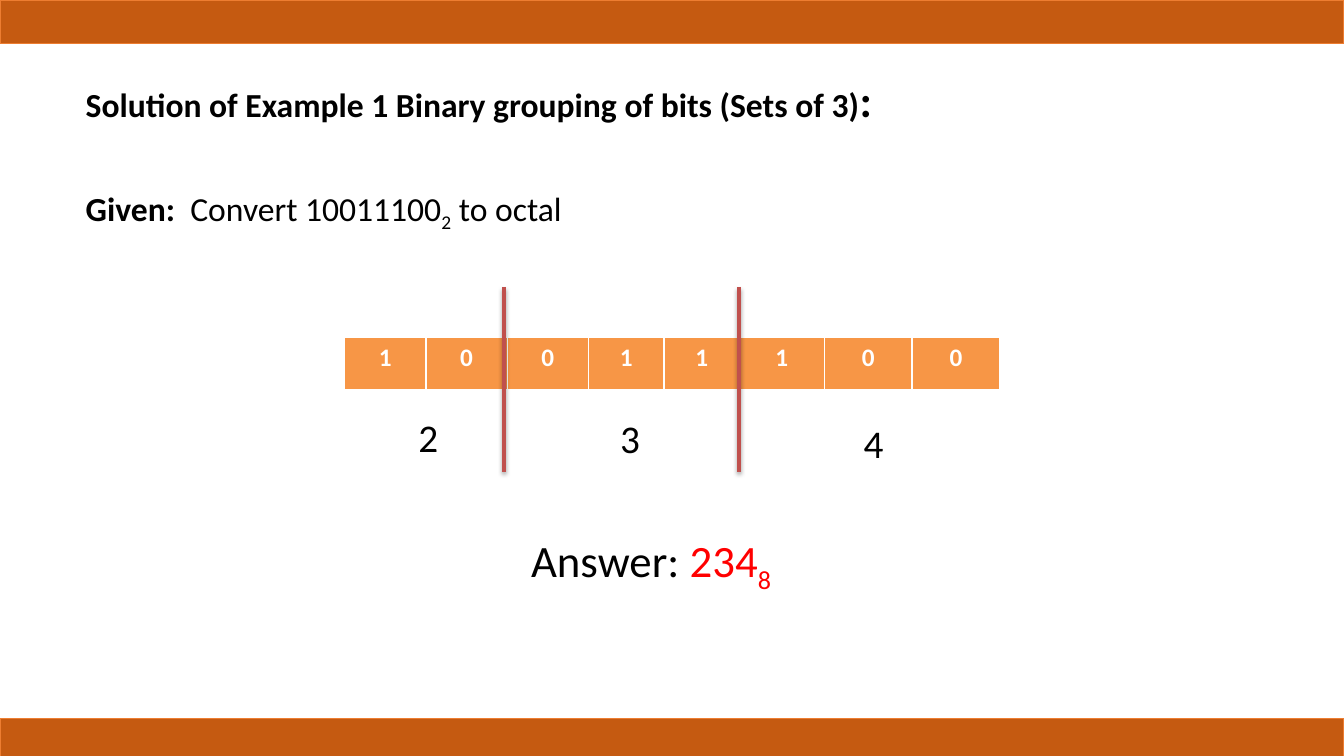
"""Builds the slide on converting a binary number to octal in sets of three bits."""
from lxml import etree
from pptx import Presentation
from pptx.dml.color import RGBColor
from pptx.enum.shapes import MSO_CONNECTOR, MSO_SHAPE
from pptx.enum.text import MSO_ANCHOR, MSO_AUTO_SIZE, PP_ALIGN
from pptx.oxml import parse_xml
from pptx.oxml.ns import nsdecls, qn
from pptx.util import Pt

STRAIGHT = MSO_CONNECTOR.STRAIGHT
RECTANGLE = MSO_SHAPE.RECTANGLE
TOP = MSO_ANCHOR.TOP
NO_AUTOFIT = MSO_AUTO_SIZE.NONE
LEFT, CENTER = PP_ALIGN.LEFT, PP_ALIGN.CENTER

FONT = "Calibri"
COLORS = {
    "text": "000000", "answer": "FF0000", "bit": "FFFFFF", "cell": "F79646",
    "divider": "C0504D", "bar": "C55A11", "bar edge": "ED7D31",
}


def rgb(name):
    return RGBColor.from_string(COLORS[name])


def write_line(box, align, parts):
    frame = box.text_frame
    frame.word_wrap = True
    frame.auto_size = NO_AUTOFIT
    frame.vertical_anchor = TOP
    line = frame.paragraphs[0]
    line.alignment = align
    line.space_before = Pt(0)
    for words, size, bold, color, subscript in parts:
        run = line.add_run()
        run.text = words
        run.font.name = FONT
        run.font.size = Pt(size)
        run.font.bold = bold
        run.font.color.rgb = rgb(color)
        if subscript:
            run._r.get_or_add_rPr().set("baseline", "-25000")


prs = Presentation()
prs.slide_width, prs.slide_height = Pt(960), Pt(540)
slide = prs.slides.add_slide(prs.slide_layouts[1])
shapes = slide.shapes

heading = shapes.title
heading.left, heading.top, heading.width, heading.height = Pt(54), Pt(48.25), Pt(640), Pt(47)
write_line(heading, LEFT, [
    ("Solution of Example 1 Binary grouping of bits (Sets of 3)", 24, True, "text", False),
    (":", 32, True, "text", False),
])

given = slide.placeholders[1]
given.left, given.top, given.width, given.height = Pt(54), Pt(130.5), Pt(582), Pt(37)
given_format = given.text_frame.paragraphs[0]._p.get_or_add_pPr()
given_format.set("marL", "0")
given_format.set("indent", "0")
etree.SubElement(given_format, qn("a:buNone"))
write_line(given, LEFT, [
    ("Given:  ", 24, True, "text", False),
    ("Convert 10011100", 24, False, "text", False),
    ("2", 24, False, "text", True),
    (" to octal", 24, False, "text", False),
])

bits = "10011100"
bit_widths = [58, 58, 58, 54, 54, 60.5, 62.75, 62.75]
bit_frame = shapes.add_table(1, len(bits), Pt(246.25), Pt(241.25), Pt(sum(bit_widths)), Pt(38))
bit_table = bit_frame.table
bit_table.first_row = False
bit_table.horz_banding = False
for column, (bit, width) in enumerate(zip(bits, bit_widths)):
    bit_table.columns[column].width = Pt(width)
    cell = bit_table.cell(0, column)
    cell_format = cell._tc.get_or_add_tcPr()
    for side, weight in (("L", 1), ("R", 1), ("T", 1), ("B", 3)):
        cell_format.append(parse_xml(
            f'<a:ln{side} {nsdecls("a")} w="{Pt(weight)}"><a:solidFill>'
            f'<a:srgbClr val="{COLORS["bit"]}"/></a:solidFill></a:ln{side}>'))
    cell.fill.solid()
    cell.fill.fore_color.rgb = rgb("cell")
    cell.text_frame.text = bit
    digit = cell.text_frame.paragraphs[0]
    digit.alignment = CENTER
    digit.font.name = FONT
    digit.font.size = Pt(18)
    digit.font.bold = True
    digit.font.color.rgb = rgb("bit")

for x in (360, 528):
    divider = shapes.add_connector(STRAIGHT, Pt(x), Pt(205), Pt(x), Pt(337))
    divider.line.color.rgb = rgb("divider")
    divider.line.width = Pt(3)
    divider._element.spPr.append(parse_xml(
        f'<a:effectLst {nsdecls("a")}><a:outerShdw blurRad="{Pt(3.1)}" dist="{Pt(1.8)}" '
        'dir="5400000" rotWithShape="0"><a:srgbClr val="000000"><a:alpha val="35000"/>'
        '</a:srgbClr></a:outerShdw></a:effectLst>'))

for octal_digit, x, y in (("2", 282, 291.5), ("3", 426, 292.25), ("4", 600, 296)):
    octal_label = shapes.add_textbox(Pt(x), Pt(y), Pt(48), Pt(41))
    write_line(octal_label, CENTER, [(octal_digit, 28, False, "text", False)])

answer = shapes.add_textbox(Pt(294), Pt(377.25), Pt(342), Pt(46))
write_line(answer, CENTER, [
    ("Answer: ", 32, False, "text", False),
    ("234", 32, False, "answer", False),
    ("8", 32, False, "answer", True),
])

for y in (0, 513.25):
    bar = shapes.add_shape(RECTANGLE, Pt(0), Pt(y), Pt(960), Pt(31))
    bar.shadow.inherit = False
    bar.fill.solid()
    bar.fill.fore_color.rgb = rgb("bar")
    bar.line.color.rgb = rgb("bar edge")
    bar.line.width = Pt(1)

prs.save("out.pptx")
